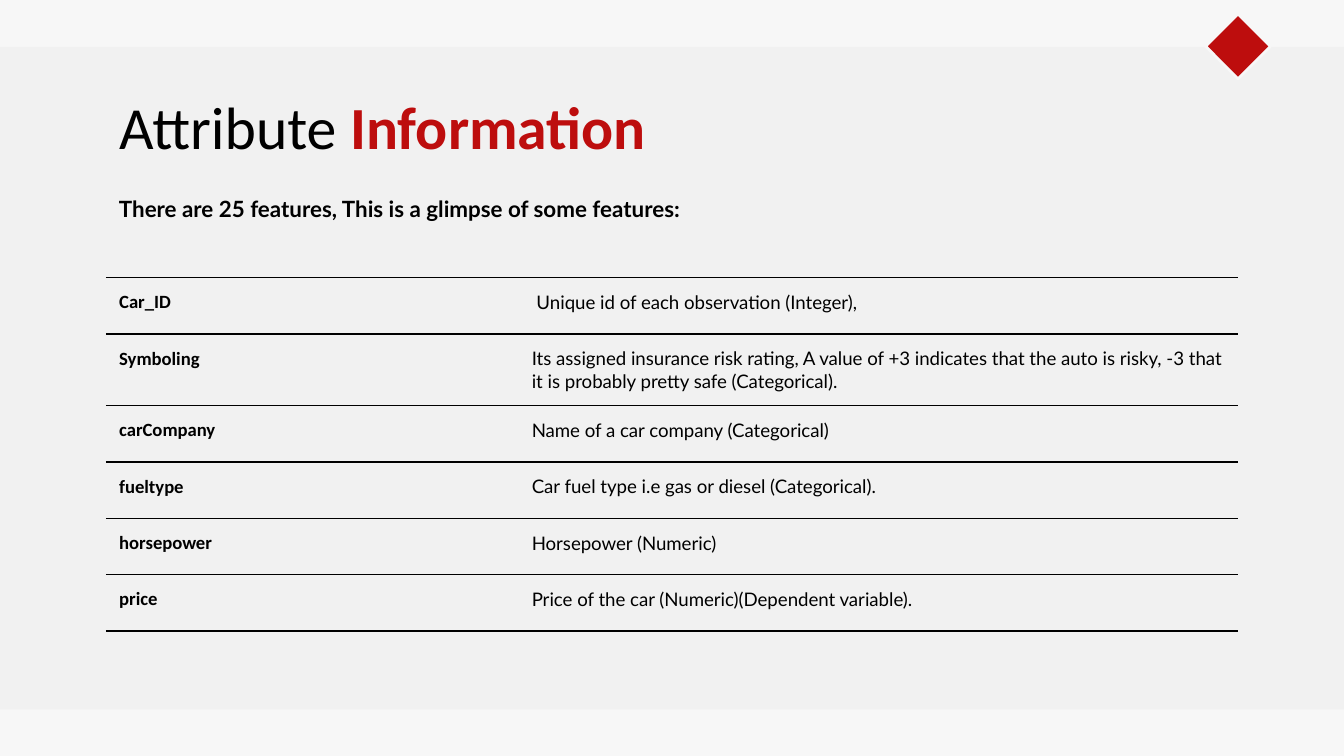
import pptx
import pptx.dml.color
import pptx.enum.shapes
import pptx.enum.text
import pptx.oxml
import pptx.oxml.ns
import pptx.util

COLS, ROWS = 100, 56.25
LEFT, WIDTH = 7.87, 84.25
BLACK, RED, PANEL, PAPER = "000000", "BD0D0D", "F1F1F1", "F7F7F7"
FEATURES = [
    ("Car_ID", " Unique id of each observation (Integer),"),
    ("Symboling", "Its assigned insurance risk rating, A value of +3 indicates that "
     "the auto is risky, -3 that it is probably pretty safe (Categorical)."),
    ("carCompany", "Name of a car company (Categorical)"),
    ("fueltype", "Car fuel type i.e gas or diesel (Categorical)."),
    ("horsepower", "Horsepower (Numeric)"),
    ("price", "Price of the car (Numeric)(Dependent variable)."),
]


def rgb(value):
    return pptx.dml.color.RGBColor.from_string(value)


def grid(units):
    return pptx.util.Inches(units / 10)


def write(p, text, size=10, font="Lato", color=BLACK, bold=False):
    r = p.add_run()
    r.text = text
    r.font.size = pptx.util.Pt(size)
    r.font.name = font
    r.font.bold = bold
    r.font.color.rgb = rgb(color)


class Deck:
    """Slide style and current slide, measured on a grid of 100 columns."""

    def __init__(self):
        self.prs = pptx.Presentation()
        self.prs.slide_width, self.prs.slide_height = grid(COLS), grid(ROWS)
        self.s = self.prs.slides.add_slide(self.prs.slide_layouts[5])
        fill = self.s.background.fill
        fill.solid()
        fill.fore_color.rgb = rgb(PAPER)

    def shape(self, kind, box, fill, line=None):
        sp = self.s.shapes.add_shape(kind, *map(grid, box))
        sp.shadow.inherit = False
        sp.fill.solid()
        sp.fill.fore_color.rgb = rgb(fill)
        if line:
            sp.line.color.rgb = rgb(line)
            sp.line.width = pptx.util.Pt(1.5)
        else:
            sp.line.fill.background()

    def frame(self, sp, box):
        sp.left, sp.top, sp.width, sp.height = map(grid, box)
        tf = sp.text_frame
        tf.word_wrap = True
        tf.auto_size = pptx.enum.text.MSO_AUTO_SIZE.NONE
        tf.vertical_anchor = pptx.enum.text.MSO_ANCHOR.TOP
        tf.margin_left = tf.margin_right = tf.margin_top = tf.margin_bottom = grid(1)
        p = tf.paragraphs[0]
        p.alignment = pptx.enum.text.PP_ALIGN.LEFT
        return p

    def title(self, box, plain, accent):
        sp = self.s.shapes.title
        sp.element.getparent().append(sp.element)
        p = self.frame(sp, box)
        write(p, plain, size=32, font="Calibri")
        write(p, accent, size=32, font="Calibri", color=RED, bold=True)

    def text(self, box, text, **style):
        sp = self.s.shapes.add_textbox(*map(grid, box))
        write(self.frame(sp, box), text, **style)

    def rule_cell(self, cell):
        tc_pr = cell._tc.get_or_add_tcPr()
        for side in "LRTB":
            paint = "<a:noFill/>"
            if side in "TB":
                paint = f'<a:solidFill><a:srgbClr val="{BLACK}"/></a:solidFill>'
            tc_pr.append(pptx.oxml.parse_xml(
                f'<a:ln{side} {pptx.oxml.ns.nsdecls("a")} w="{pptx.util.Pt(0.75)}">'
                f"{paint}</a:ln{side}>"))
        cell.fill.background()

    def table(self, left, top, widths, row_height, rows):
        box = left, top, sum(widths), row_height * len(rows)
        tbl = self.s.shapes.add_table(len(rows), len(widths), *map(grid, box)).table
        tbl.first_row = tbl.horz_banding = False
        for column, width in zip(tbl.columns, widths):
            column.width = grid(width)
        for row, texts in zip(tbl.rows, rows):
            row.height = grid(row_height)
            for i, (cell, text) in enumerate(zip(row.cells, texts)):
                cell.margin_left = cell.margin_right = grid(1)
                cell.margin_top = cell.margin_bottom = grid(1)
                self.rule_cell(cell)
                write(cell.text_frame.paragraphs[0], text,
                      font="Lato" if i else "Calibri", bold=i == 0)


def main():
    deck = Deck()
    kinds = pptx.enum.shapes.MSO_SHAPE
    deck.shape(kinds.RECTANGLE, (0, 3.5, COLS, 49.3), PANEL)
    deck.shape(kinds.DIAMOND, (89.7, 1.03, 4.83, 4.83), RED, line=PAPER)
    deck.title((LEFT, 5.7, WIDTH, 6.9), "Attribute ", "Information")
    deck.text((LEFT, 13.5, WIDTH, 4.1),
              "There are 25 features, This is a glimpse of some features:",
              size=12, bold=True)
    deck.table(LEFT, 20.67, (30.7, 53.55), 4.19, FEATURES)
    deck.prs.save("out.pptx")


if __name__ == "__main__":
    main()
